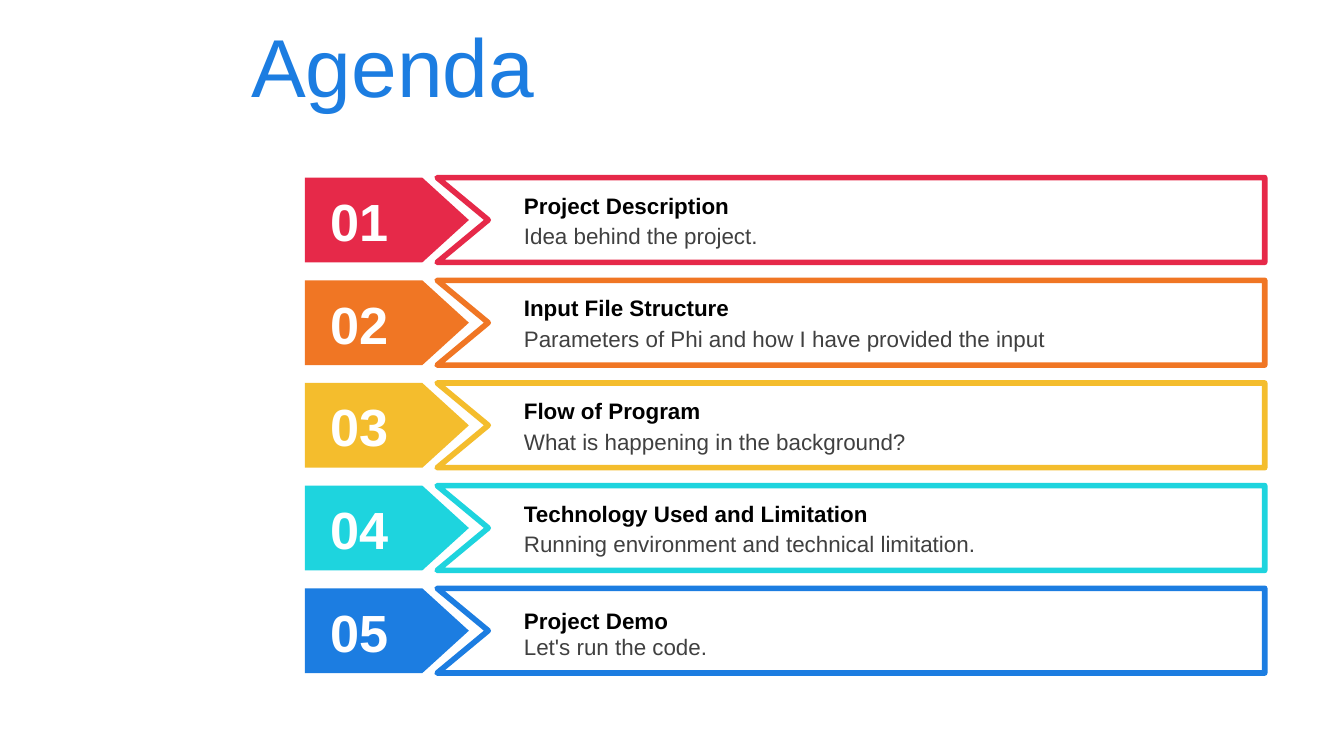
from dataclasses import dataclass

from lxml.etree import SubElement
from pptx import Presentation
from pptx.dml.color import RGBColor
from pptx.enum.shapes import MSO_SHAPE as Preset
from pptx.enum.text import MSO_ANCHOR as Anchor
from pptx.enum.text import MSO_AUTO_SIZE as AutoSize
from pptx.enum.text import PP_ALIGN as Align
from pptx.oxml.ns import qn
from pptx.util import Pt

FONT = "Arial"
BLUE = "1C7DE1"
WHITE = "FFFFFF"
FIRST_TOP = 95.2
ROW_PITCH = 55
ROW_HEIGHT = 45.4
TAG_LEFT = 163.4
TAG_WIDTH = 87.8
PANEL_LEFT = 234.2
PANEL_RIGHT = 677.6
NOTCH_DEPTH = 27.4
TEXT_LEFT = 273.6
TEXT_WIDTH = 381.6
TEXT_HEIGHT = 21.6


@dataclass(frozen=True)
class AgendaItem:
    heading: str
    detail: str
    color: str
    heading_offset: float = 4.1


ITEMS = [
    AgendaItem("Project Description", "Idea behind the project.", "E62949"),
    AgendaItem(
        "Input File Structure",
        "Parameters of Phi and how I have provided the input",
        "F07624",
    ),
    AgendaItem("Flow of Program", "What is happening in the background?", "F4BD2D"),
    AgendaItem(
        "Technology Used and Limitation",
        "Running environment and technical limitation.",
        "1ED4DE",
    ),
    AgendaItem("Project Demo", "Let's run the code.", BLUE, 6.6),
]


def rgb(value: str) -> RGBColor:
    return RGBColor.from_string(value)


def apply_format(target, values: dict) -> None:
    for name, value in values.items():
        setattr(target, name, value)


def write_text(frame, text: str, size: float, color: str, bold: bool = False) -> None:
    para = frame.paragraphs[0]
    para.alignment = Align.LEFT
    span = para.add_run()
    span.text = text
    apply_format(span.font, {"name": FONT, "size": Pt(size), "bold": bold})
    span.font.color.rgb = rgb(color)


def paint(shape, color: str) -> None:
    shape.shadow.inherit = False
    shape.fill.solid()
    shape.fill.fore_color.rgb = rgb(color)


def add_tag(page, top: float, color: str) -> None:
    tag = page.shapes.add_shape(
        Preset.PENTAGON, Pt(TAG_LEFT), Pt(top), Pt(TAG_WIDTH), Pt(ROW_HEIGHT)
    )
    tag.adjustments[0] = 0.549
    paint(tag, color)
    tag.line.fill.background()


def add_panel(page, top: float, color: str) -> None:
    bottom = top + ROW_HEIGHT
    corners = [
        (PANEL_RIGHT, top),
        (PANEL_RIGHT, bottom),
        (PANEL_LEFT, bottom),
        (PANEL_LEFT + NOTCH_DEPTH, top + ROW_HEIGHT / 2),
    ]
    builder = page.shapes.build_freeform(Pt(PANEL_LEFT), Pt(top))
    builder.add_line_segments([(Pt(x), Pt(y)) for x, y in corners], close=True)
    panel = builder.convert_to_shape()
    paint(panel, WHITE)
    panel.line.color.rgb = rgb(color)
    panel.line.width = Pt(3)
    SubElement(panel.element.spPr.find(qn("a:ln")), qn("a:round"))


def add_number(page, top: float, number: int) -> None:
    box = page.shapes.add_textbox(Pt(169.9), Pt(top + 6.2), Pt(47.5), Pt(33.8))
    frame = box.text_frame
    apply_format(
        frame,
        {
            "word_wrap": True,
            "auto_size": AutoSize.SHAPE_TO_FIT_TEXT,
            "vertical_anchor": Anchor.MIDDLE,
            "margin_top": 0,
            "margin_bottom": 0,
        },
    )
    write_text(frame, f"{number:02}", 28, WHITE, True)


def add_line_of_text(page, top: float, text: str, color: str, bold: bool) -> None:
    box = page.shapes.add_textbox(
        Pt(TEXT_LEFT), Pt(top), Pt(TEXT_WIDTH), Pt(TEXT_HEIGHT)
    )
    apply_format(
        box.text_frame,
        {"word_wrap": True, "auto_size": AutoSize.SHAPE_TO_FIT_TEXT},
    )
    write_text(box.text_frame, text, 12, color, bold)


def add_item(page, index: int, item: AgendaItem) -> None:
    top = FIRST_TOP + index * ROW_PITCH
    add_tag(page, top, item.color)
    add_panel(page, top, item.color)
    add_number(page, top, index + 1)
    add_line_of_text(page, top + item.heading_offset, item.heading, "000000", True)
    add_line_of_text(page, top + 20.4, item.detail, "404040", False)


def add_title(page) -> None:
    title = page.shapes.title
    apply_format(
        title,
        {"left": Pt(127.4), "top": 0, "width": Pt(592.6), "height": Pt(69.8)},
    )
    title.text_frame.vertical_anchor = Anchor.MIDDLE
    write_text(title.text_frame, "Agenda", 44, BLUE)


def main() -> None:
    deck = Presentation()
    apply_format(deck, {"slide_width": Pt(720), "slide_height": Pt(405)})
    page = deck.slides.add_slide(deck.slide_layouts[5])
    add_title(page)
    for index, item in enumerate(ITEMS):
        add_item(page, index, item)
    deck.save("out.pptx")


if __name__ == "__main__":
    main()
